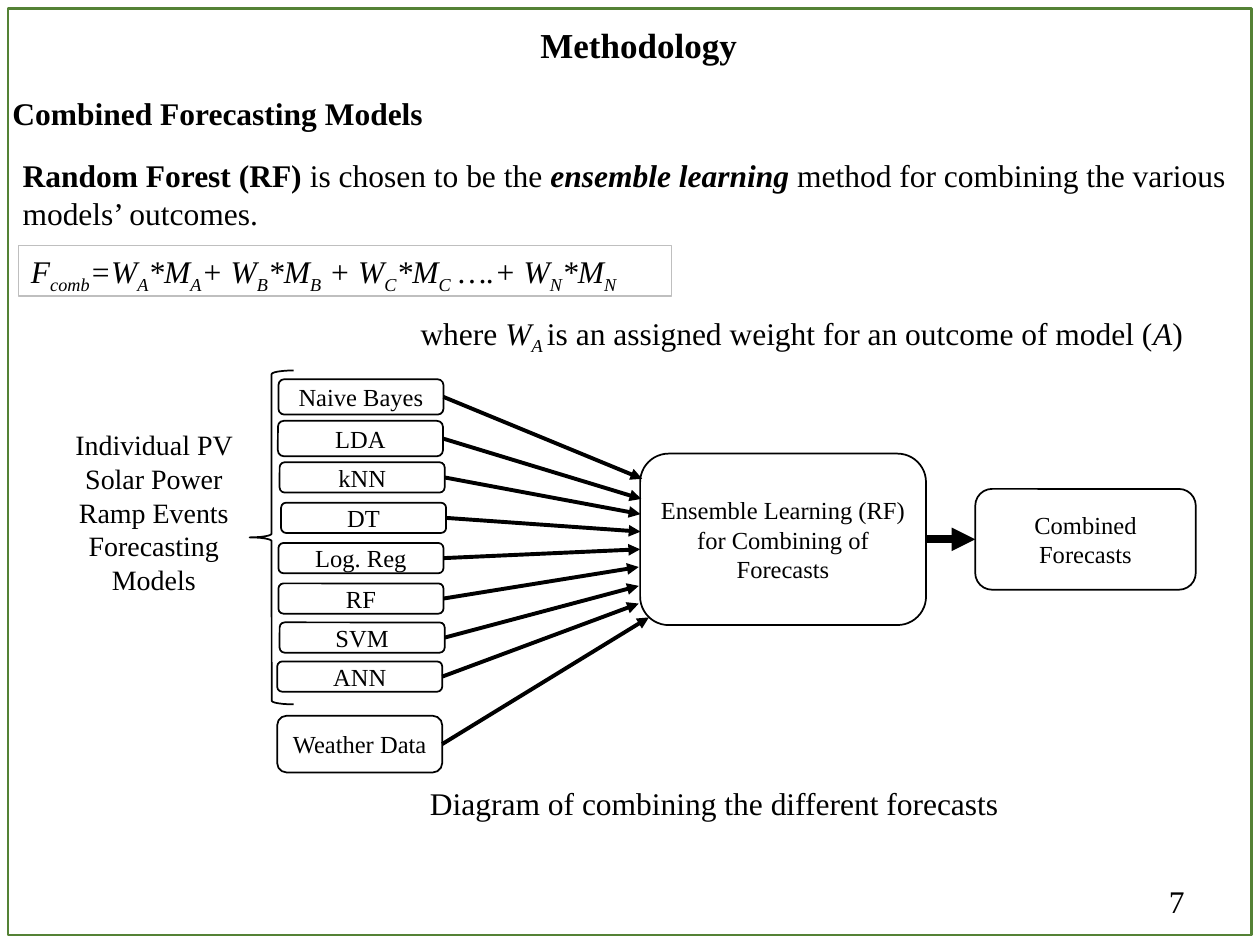
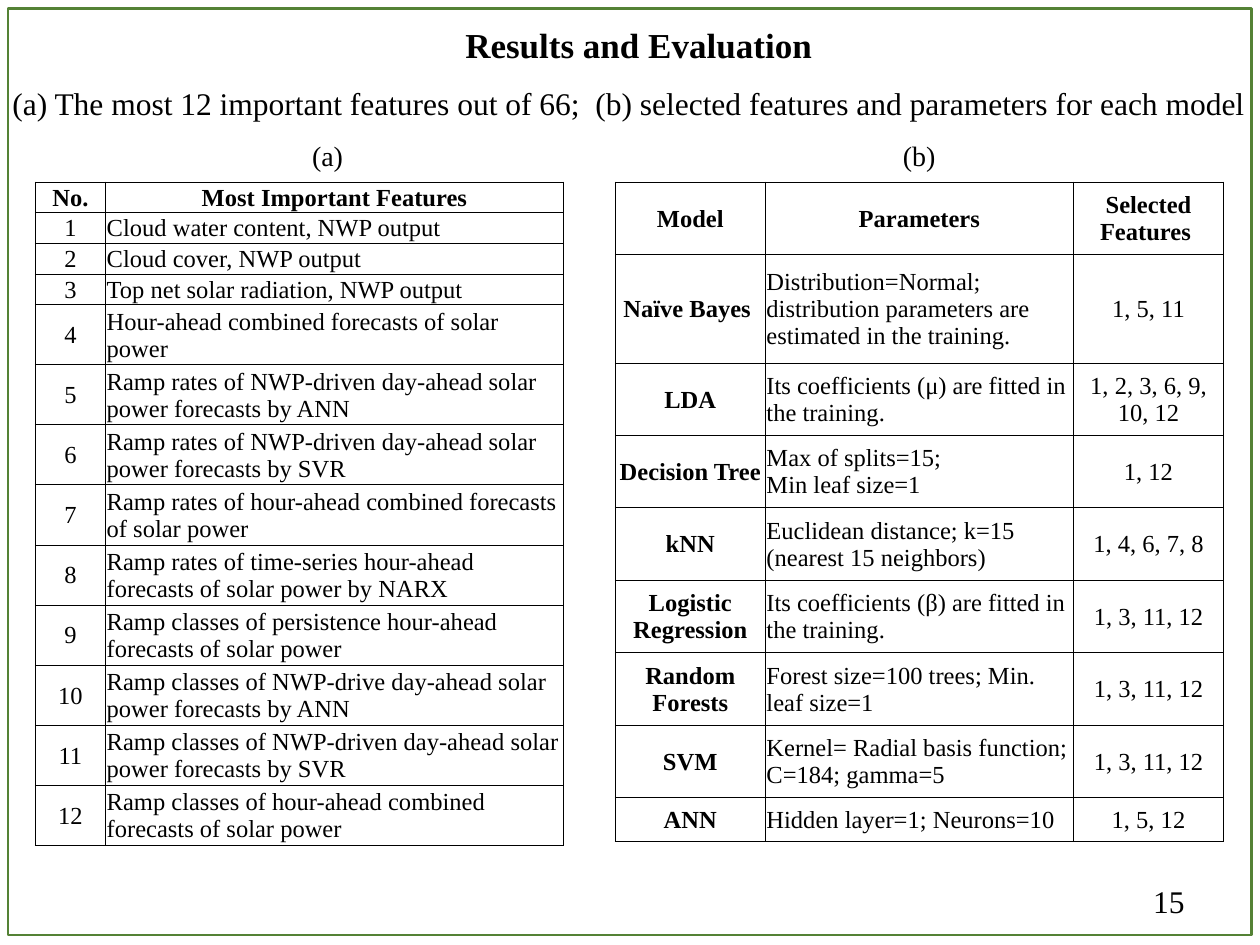
import pptx
import pptx.util
import pptx.dml.color
import pptx.enum.shapes
import pptx.enum.text
import pptx.oxml
import pptx.oxml.ns
from lxml import etree

Pt = pptx.util.Pt
RGBColor = pptx.dml.color.RGBColor
Shape = pptx.enum.shapes.MSO_SHAPE
Align = pptx.enum.text.PP_ALIGN
Anchor = pptx.enum.text.MSO_ANCHOR
qn = pptx.oxml.ns.qn

BLACK = RGBColor(0, 0, 0)
WHITE = RGBColor(255, 255, 255)
GREEN = RGBColor(0x54, 0x82, 0x35)
GREY = RGBColor(0xBF, 0xBF, 0xBF)
FONT = "Times New Roman"


def write(frame, text, size, align=Align.LEFT, bold=None):
    """Fill a frame with plain text, or with (text, style) runs: b, i, s = subscript."""
    para = frame.paragraphs[0]
    para.alignment = align
    font = para.font
    font.name, font.size, font.bold = FONT, Pt(size), bold
    font.color.rgb = BLACK
    if isinstance(text, str):
        para.text = text
        return
    for part, style in text:
        run = para.add_run()
        run.text = part
        run.font.bold = "b" in style
        run.font.italic = "i" in style
        if "s" in style:
            run._r.get_or_add_rPr().set("baseline", "-25000")


def box(slide, kind, place, text="", size=18, align=Align.CENTER, bold=None,
        line=None, width=1, fill=None):
    """Add a preset shape, or a text box when kind is None."""
    place = [Pt(n) for n in place]
    if kind is None:
        shape = slide.shapes.add_textbox(*place)
    else:
        shape = slide.shapes.add_shape(kind, *place)
        shape.shadow.inherit = False
        if fill is None:
            shape.fill.background()
        else:
            shape.fill.solid()
            shape.fill.fore_color.rgb = fill
        if line is None:
            shape.line.fill.background()
        else:
            shape.line.color.rgb = line
            shape.line.width = Pt(width)
    frame = shape.text_frame
    frame.word_wrap = True
    frame.vertical_anchor = Anchor.MIDDLE if kind == Shape.ROUNDED_RECTANGLE else Anchor.TOP
    if text:
        write(frame, text, size, align, bold)


deck = pptx.Presentation()
deck.slide_width, deck.slide_height = Pt(720), Pt(540)

# Shared parts: frame, title, page number
pages = []
for title, page in (("Methodology", "7"), ("Results and Evaluation", "15")):
    slide = deck.slides.add_slide(deck.slide_layouts[6])
    box(slide, Shape.RECTANGLE, (4.5, 5, 710.5, 529.3), line=GREEN, width=1.5)
    box(slide, None, (5, 9.7, 720, 31.5), title, 20, bold=True)
    box(slide, None, (516, 500.4, 168, 29), page, align=Align.RIGHT)
    pages.append(slide)
method, results = pages

# Methodology: text and formula
box(method, None, (0, 50.4, 256, 29), "Combined Forecasting Models", align=Align.LEFT, bold=True)
box(method, None, (5.8, 85.7, 706.3, 51), [
    ("Random Forest (RF) ", "b"), ("is chosen to be the ", ""),
    ("ensemble learning ", "bi"),
    ("method for combining the various models’ outcomes.", "")], align=Align.LEFT)
terms = "F_comb_=W_A_*M_A_+ W_B_*M_B_ + W_C_*M_C_ ….+ W_N_*M_N".split("_")
box(method, Shape.RECTANGLE, (10.6, 140.4, 373, 28.8),
    [(term, "is" if n % 2 else "i") for n, term in enumerate(terms)],
    align=Align.LEFT, line=GREY, width=0.75)
box(method, None, (233.2, 175.6, 470, 29), [
    ("where ", ""), ("W", "i"), ("A ", "is"),
    ("is an assigned weight for an outcome of model (", ""), ("A", "i"), (")", "")],
    align=Align.LEFT)
box(method, None, (96.5, 444.2, 623.5, 29), "Diagram of combining the different forecasts")

# Diagram: group label, brace and the two result boxes
ROUND = Shape.ROUNDED_RECTANGLE
box(method, ROUND, (20.2, 224.6, 135.4, 136),
    "Individual PV Solar Power Ramp Events Forecasting Models", 16)
box(method, Shape.LEFT_BRACE, (142.6, 211.7, 25.2, 190.8), line=BLACK)
box(method, ROUND, (365.8, 259.2, 163.4, 98),
    "Ensemble Learning (RF) for Combining of Forecasts", 14, line=BLACK, fill=WHITE)
box(method, ROUND, (557.3, 279.4, 126, 57.6), "Combined Forecasts", 14, line=BLACK, fill=WHITE)

# Diagram: inputs (name, left, top, height, arrow tip)
inputs = [
    ("Naive Bayes", 159.1, 216.7, 20.2, 367, 273.6),
    ("LDA", 158.8, 240.5, 20.2, 366.5, 285.1),
    ("kNN", 159.8, 264.2, 17.3, 366, 293.8),
    ("DT", 160.6, 287.3, 17.3, 366, 303.8),
    ("Log. Reg", 159.1, 310.3, 17.3, 365.8, 313.9),
    ("RF", 159.1, 333.4, 17.3, 365, 324),
    ("SVM", 159.8, 355.7, 17.3, 365, 334.8),
    ("ANN", 158.4, 378, 17.3, 365, 344.9),
    ("Weather Data", 158.4, 409, 32.4, 370.8, 352.8),
]
WIDE = 94.3
arrows = [(529.2, 308.2, 557.3, 308.2, 4.5)]
for name, left, top, high, tipx, tipy in inputs:
    box(method, ROUND, (left, top, WIDE, high), name, 14, line=BLACK, fill=WHITE)
    arrows.append((left + WIDE, top + high / 2, tipx, tipy, 2.25))

for *ends, width in arrows:
    arrow = method.shapes.add_connector(
        pptx.enum.shapes.MSO_CONNECTOR.STRAIGHT, *[Pt(n) for n in ends])
    arrow.line.color.rgb = BLACK
    arrow.line.width = Pt(width)
    etree.SubElement(arrow.line._get_or_add_ln(), qn("a:tailEnd"), type="triangle")
    etree.SubElement(arrow._element.spPr, qn("a:effectLst"))

# Results: heading and table labels
box(results, None, (-12, 44.6, 743, 29),
    "(a) The most 12 important features out of 66;  "
    "(b) selected features and parameters for each model")
box(results, None, (164.9, 75.6, 44.6, 26.6), "(a)", 16)
box(results, None, (503.3, 75.6, 44, 26.6), "(b)", 16)

# Results: table contents
names = [
    "Cloud water content, NWP output",
    "Cloud cover, NWP output",
    "Top net solar radiation, NWP output",
    "Hour-ahead combined forecasts of solar power",
    "Ramp rates of NWP-driven day-ahead solar power forecasts by ANN",
    "Ramp rates of NWP-driven day-ahead solar power forecasts by SVR",
    "Ramp rates of hour-ahead combined forecasts of solar power",
    "Ramp rates of time-series hour-ahead forecasts of solar power by NARX",
    "Ramp classes of persistence hour-ahead forecasts of solar power",
    "Ramp classes of NWP-drive day-ahead solar power forecasts by ANN",
    "Ramp classes of NWP-driven day-ahead solar power forecasts by SVR",
    "Ramp classes of hour-ahead combined forecasts of solar power",
]
feats = [("No.", "Most Important Features")]
feats += [(str(n), name) for n, name in enumerate(names, 1)]
models = [
    ("Model", "Parameters", "Selected Features "),
    ("Naïve Bayes ", "Distribution=Normal; distribution parameters are "
     "estimated in the training.", "1, 5, 11"),
    ("LDA", "Its coefficients (μ) are fitted in the training.", "1, 2, 3, 6, 9, 10, 12"),
    ("Decision Tree", "Max of splits=15;\nMin leaf size=1", "1, 12"),
    ("kNN", "Euclidean distance; k=15 (nearest 15 neighbors)", "1, 4, 6, 7, 8"),
    ("Logistic Regression", "Its coefficients (β) are fitted in the training.", "1, 3, 11, 12"),
    ("Random Forests", "Forest size=100 trees; Min. leaf size=1", "1, 3, 11, 12"),
    ("SVM", "Kernel= Radial basis function;\nC=184; gamma=5", "1, 3, 11, 12"),
    ("ANN", "Hidden layer=1; Neurons=10", "1, 5, 12"),
]

# Results: draw both tables (left, column widths, row heights, rows, bold first column)
tables = [
    (351.6, (85.7, 176.2, 85.7), [41.4, 62] + [41.4] * 6 + [25], models, True),
    (20.2, (40.1, 261.8), [17.1] * 4 + [34.2] * 9, feats, False),
]
for left, cols, highs, rows, strong in tables:
    grid = results.shapes.add_table(
        len(rows), len(cols), Pt(left), Pt(104), Pt(sum(cols)), Pt(sum(highs))).table
    grid.first_row = grid.horz_banding = False
    for c, wide in enumerate(cols):
        grid.columns[c].width = Pt(wide)
    for r, row in enumerate(rows):
        grid.rows[r].height = Pt(highs[r])
        for c, text in enumerate(row):
            cell = grid.cell(r, c)
            cell.margin_left = cell.margin_right = cell.margin_top = Pt(0.7)
            cell.margin_bottom = 0
            cell.vertical_anchor = Anchor.MIDDLE
            props = cell._tc.get_or_add_tcPr()
            for side in ("L", "R", "T", "B"):
                edge = etree.SubElement(props, qn("a:ln" + side), w=str(Pt(0.5)))
                paint = etree.SubElement(edge, qn("a:solidFill"))
                etree.SubElement(paint, qn("a:srgbClr"), val=str(BLACK))
            cell.fill.background()
            write(cell.text_frame, text, 14,
                  Align.LEFT if r and c == 1 else Align.CENTER,
                  r == 0 or (strong and c == 0))

deck.save("out.pptx")
